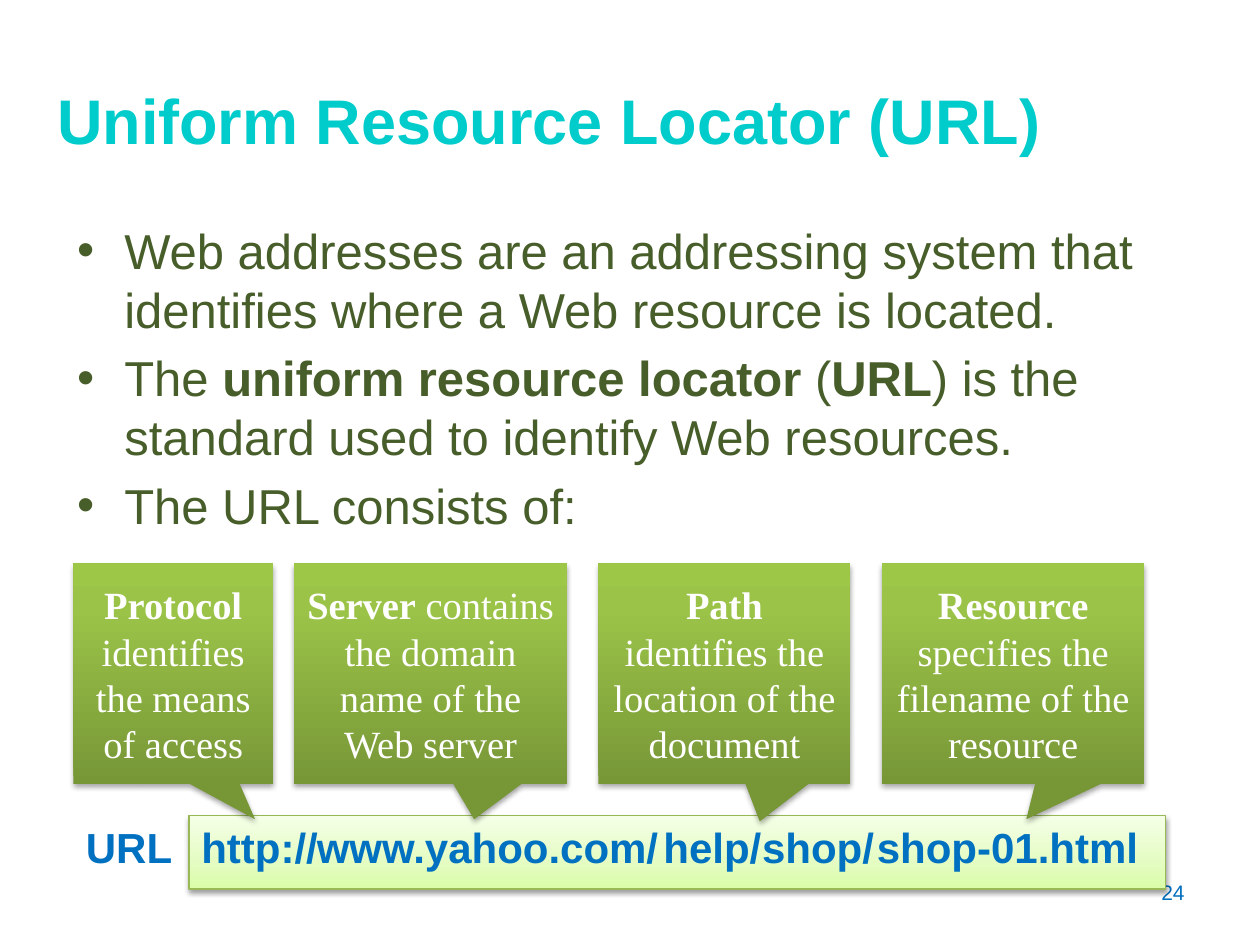
from dataclasses import dataclass

from lxml.etree import SubElement
from pptx import Presentation
from pptx.dml.color import RGBColor
from pptx.enum.shapes import MSO_SHAPE
from pptx.enum.text import MSO_ANCHOR, PP_ALIGN
from pptx.oxml.ns import qn
from pptx.util import Pt

COLORS = {
    "title": "00CCCC", "body": "485E2A", "url": "0070C0", "white": "FFFFFF",
    "bar_line": "98B955", "shadow": "000000",
}
CALLOUT_GRADIENT = [(0, "779737"), (80, "9BC348"), (100, "9DC746")]
BAR_GRADIENT = [(0, "DAFDA7"), (35, "E4FCC2"), (100, "F5FFE7")]
URL_TOP, URL_HEIGHT = 466, 36
CALLOUT_TOP, CALLOUT_HEIGHT = 322, 126


@dataclass
class Style:
    size: float
    color: str
    font: str = "Arial"


@dataclass
class Callout:
    left: float
    width: float
    term: str
    meaning: str
    tip_x: float
    tip_y: float = 0.66


@dataclass
class UrlPart:
    left: float
    width: float
    text: str


TITLE = Style(36, "title")
BODY = Style(28, "body")
URL = Style(24, "url")
NUMBER = Style(12, "url")
CALLOUT = Style(22, "white", "Times New Roman")

# Each run is a (text, bold) pair.
BULLETS = [
    [("Web addresses are an addressing system that identifies where "
      "a Web resource is located.", False)],
    [("The ", False), ("uniform resource locator", True), (" (", False),
     ("URL", True), (") is the standard used to identify Web resources.", False)],
    [("The URL consists of:", False)],
]
CALLOUTS = [
    Callout(42, 114, "Protocol", " identifies the means of access", 0.41),
    Callout(168, 156, "Server", " contains the domain name of the Web server", 0.16),
    Callout(342, 144, "Path ", "identifies the location of the document", 0.14, 0.67),
    Callout(504, 150, "Resource", " specifies the filename of the resource", 0.05),
]
URL_PARTS = [
    UrlPart(42, 72, "URL"),
    UrlPart(108, 88, "http://"),
    UrlPart(174, 216, "www.yahoo.com/"),
    UrlPart(372, 76, "help/"),
    UrlPart(428.4, 84, "shop/"),
    UrlPart(494, 172, "shop-01.html"),
]


def rgb(name: str) -> RGBColor:
    return RGBColor.from_string(COLORS[name])


def add_runs(paragraph, runs: list[tuple[str, bool]], style: Style) -> None:
    for text, bold in runs:
        run = paragraph.add_run()
        run.text = text
        run.font.name = style.font
        run.font.size = Pt(style.size)
        run.font.bold = bold
        run.font.color.rgb = rgb(style.color)


def add_text(slide, left: float, top: float, width: float, height: float,
             runs: list[tuple[str, bool]], style: Style, align=PP_ALIGN.LEFT):
    box = slide.shapes.add_textbox(Pt(left), Pt(top), Pt(width), Pt(height))
    box.text_frame.word_wrap = True
    box.text_frame.vertical_anchor = MSO_ANCHOR.MIDDLE
    paragraph = box.text_frame.paragraphs[0]
    paragraph.alignment = align
    add_runs(paragraph, runs, style)
    return box


def set_gradient(shape, stops: list[tuple[int, str]]) -> None:
    """Fill from bottom to top with stops given as (percent, hex)."""
    shape.fill.gradient()
    gradient = shape._element.spPr.find(qn("a:gradFill"))
    stop_list = gradient.find(qn("a:gsLst"))
    for stop in list(stop_list):
        stop_list.remove(stop)
    for percent, color in stops:
        stop = SubElement(stop_list, qn("a:gs"), pos=str(percent * 1000))
        SubElement(stop, qn("a:srgbClr"), val=color)
    gradient.find(qn("a:lin")).set("ang", str(270 * 60000))


def set_shadow(shape, opacity: int, distance: float) -> None:
    shape.shadow.inherit = False
    effects = shape._element.spPr.find(qn("a:effectLst"))
    shadow = SubElement(effects, qn("a:outerShdw"), blurRad=str(Pt(3.1)),
                        dist=str(Pt(distance)), dir=str(90 * 60000), rotWithShape="0")
    color = SubElement(shadow, qn("a:srgbClr"), val=COLORS["shadow"])
    SubElement(color, qn("a:alpha"), val=str(opacity * 1000))


def add_bullets(slide) -> None:
    box = slide.shapes.add_textbox(Pt(37), Pt(122.4), Pt(648), Pt(188.6))
    frame = box.text_frame
    frame.word_wrap = True
    for index, runs in enumerate(BULLETS):
        paragraph = frame.add_paragraph() if index else frame.paragraphs[0]
        properties = paragraph._p.get_or_add_pPr()
        properties.set("marL", str(Pt(27)))
        properties.set("indent", str(-Pt(27)))
        SubElement(properties, qn("a:buFont"), typeface="Arial")
        SubElement(properties, qn("a:buChar"), char="•")
        if index:
            paragraph.space_before = Pt(5.6)
        add_runs(paragraph, runs, BODY)


def add_url_bar(slide) -> None:
    bar = slide.shapes.add_shape(MSO_SHAPE.RECTANGLE, Pt(108), Pt(URL_TOP), Pt(558), Pt(42))
    set_gradient(bar, BAR_GRADIENT)
    bar.line.color.rgb = rgb("bar_line")
    bar.line.width = Pt(0.75)
    set_shadow(bar, 38, 1.6)


def add_callout(slide, callout: Callout) -> None:
    shape = slide.shapes.add_shape(
        MSO_SHAPE.RECTANGULAR_CALLOUT, Pt(callout.left), Pt(CALLOUT_TOP),
        Pt(callout.width), Pt(CALLOUT_HEIGHT))
    shape.adjustments[0] = callout.tip_x
    shape.adjustments[1] = callout.tip_y
    set_gradient(shape, CALLOUT_GRADIENT)
    shape.line.fill.background()
    set_shadow(shape, 35, 1.8)
    shape.text_frame.word_wrap = True
    shape.text_frame.vertical_anchor = MSO_ANCHOR.MIDDLE
    paragraph = shape.text_frame.paragraphs[0]
    paragraph.alignment = PP_ALIGN.CENTER
    add_runs(paragraph, [(callout.term, True), (callout.meaning, False)], CALLOUT)


def main() -> None:
    presentation = Presentation()
    presentation.slide_width, presentation.slide_height = Pt(720), Pt(540)
    slide = presentation.slides.add_slide(presentation.slide_layouts[6])

    add_text(slide, 516, 492, 168, 36, [("24", False)], NUMBER, PP_ALIGN.RIGHT)
    add_url_bar(slide)
    add_bullets(slide)
    title = add_text(slide, 25.6, 42.5, 608, 52,
                     [("Uniform Resource Locator (URL)", True)], TITLE)
    title.fill.solid()
    title.fill.fore_color.rgb = rgb("white")
    title.line.color.rgb = rgb("white")
    title.line.width = Pt(0.75)
    for part in URL_PARTS:
        add_text(slide, part.left, URL_TOP, part.width, URL_HEIGHT,
                 [(part.text, True)], URL)
    for callout in CALLOUTS:
        add_callout(slide, callout)

    presentation.save("out.pptx")


if __name__ == "__main__":
    main()
